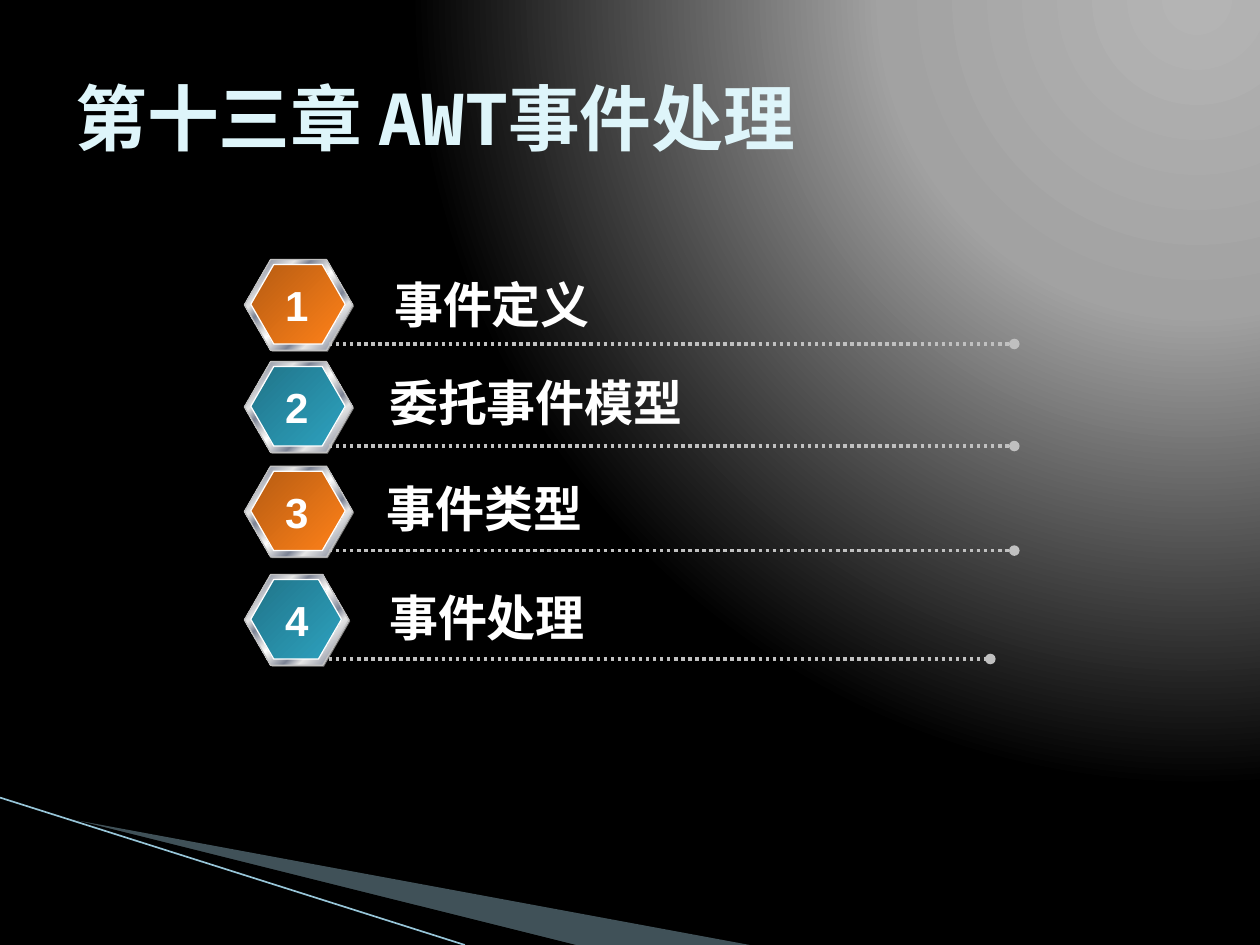
from lxml import etree
from pptx import Presentation
from pptx.dml.color import RGBColor
from pptx.enum.dml import MSO_LINE
from pptx.enum.shapes import MSO_CONNECTOR, MSO_SHAPE
from pptx.enum.text import MSO_ANCHOR, MSO_AUTO_SIZE, PP_ALIGN
from pptx.oxml import parse_xml
from pptx.oxml.ns import nsdecls, qn
from pptx.util import Inches, Pt

HEXAGON = MSO_SHAPE.HEXAGON
STRAIGHT = MSO_CONNECTOR.STRAIGHT
DOTTED = MSO_LINE.ROUND_DOT
LEFT, CENTER = PP_ALIGN.LEFT, PP_ALIGN.CENTER
TOP, MIDDLE = MSO_ANCHOR.TOP, MSO_ANCHOR.MIDDLE
FIT = MSO_AUTO_SIZE.SHAPE_TO_FIT_TEXT

TITLE = "第十三章 AWT事件处理"
CHAPTERS = [
    dict(label="事件定义", top=2.06, left=3.03, drop=0.07, width=2.47, hexagon=0.86, end=8.05),
    dict(label="委托事件模型", top=2.87, left=2.99, drop=0.04, width=3.09, hexagon=0.86, end=8.05),
    dict(label="事件类型", top=3.70, left=2.97, drop=0.05, width=2.94, hexagon=0.86, end=8.05),
    dict(label="事件处理", top=4.56, left=2.99, drop=0.05, width=3.17, hexagon=0.83, end=7.86),
]
WEDGES = [
    ([(0.55, 6.5), (5.95, 7.5), (4.56, 7.5)], "A0CBDC", 40),
    ([(0.53, 6.49), (4.57, 7.5), (3.72, 7.5)], "000000", 100),
]
SILVER, STEEL = "E6E6E6", "7D8496"
THEME = dict(
    backdrop=[(0, "B4B4B4"), (40, "A2A2A2"), (100, "000000")],
    metal=[(0, SILVER), (8, STEEL), (26, SILVER), (34, STEEL), (46, SILVER), (50, "FFFFFF"),
           (54, SILVER), (66, STEEL), (74, SILVER), (93, STEEL), (100, SILVER)],
    faces=[[(0, "B65C12"), (100, "FF8119")], [(0, "207489"), (100, "2DA2BF")]],
    shade="808080", rule="C0C0C0", rim="FFFFFF", streak="97C5D8",
    title=dict(name="Noto Sans Mono", size=Pt(41), bold=True, color="DEF5FA"),
    label=dict(name="Arial", size=Pt(28), bold=True, color="FFFFFF"),
    number=dict(name="Arial", size=Pt(24), bold=True, color="FFFFFF"),
)
DIAGONAL = '<a:lin ang="2700000" scaled="0"/>'
SPOTLIGHT = ('<a:path path="circle"><a:fillToRect l="95000" t="-106000" '
             'r="5000" b="206000"/></a:path>')


def rgb(value):
    return RGBColor.from_string(value)


def set_gradient(properties, stops, direction):
    marks = "".join(f'<a:gs pos="{place * 1000}"><a:srgbClr val="{color}"/></a:gs>'
                    for place, color in stops)
    gradient = parse_xml(f'<a:gradFill {nsdecls("a")} rotWithShape="1">'
                         f'<a:gsLst>{marks}</a:gsLst>{direction}</a:gradFill>')
    solid = properties.find(qn("a:solidFill"))
    properties.replace(solid, gradient)


def paint(shape, color, alpha=100):
    shape.shadow.inherit = False
    shape.fill.solid()
    shape.fill.fore_color.rgb = rgb(color)
    if alpha < 100:
        tone = shape.element.spPr.find(qn("a:solidFill"))[0]
        etree.SubElement(tone, qn("a:alpha"), val=str(alpha * 1000))
    shape.line.fill.background()


def add_text(page, text, frame, style, align=LEFT, anchor=TOP, wrap=True, fit=True):
    box = page.shapes.add_textbox(*map(Inches, frame))
    body = box.text_frame
    settings = dict(word_wrap=wrap, vertical_anchor=anchor)
    if fit:
        settings["auto_size"] = FIT
    for name, value in settings.items():
        setattr(body, name, value)
    para = body.paragraphs[0]
    para.alignment = align
    span = para.add_run()
    span.text = text
    for name, value in style.items():
        if name == "color":
            span.font.color.rgb = rgb(value)
        else:
            setattr(span.font, name, value)


def add_line(page, start, end, color, width):
    line = page.shapes.add_connector(STRAIGHT, *map(Inches, start + end))
    line.line.color.rgb = rgb(color)
    line.line.width = Pt(width)
    etree.SubElement(line.element.spPr, qn("a:effectLst"))
    return line


def add_badge(page, left, top, width, face):
    group = page.shapes.add_group_shape()
    layers = [
        ((left + 0.01, top + 0.01, width, 0.72), None, None),
        ((left, top, width, 0.72), THEME["metal"], THEME["rule"]),
        ((left + 0.05, top + 0.04, width - 0.11, 0.63), face, THEME["rim"]),
    ]
    for frame, stops, outline in layers:
        shape = group.shapes.add_shape(HEXAGON, *map(Inches, frame))
        shape.adjustments[0] = 0.289
        shape.adjustments[1] = 1.155
        paint(shape, THEME["shade"])
        if stops:
            set_gradient(shape.element.spPr, stops, DIAGONAL)
            shape.line.color.rgb = rgb(outline)
            shape.line.width = Pt(0.75)


def add_chapter(page, index, chapter):
    top = chapter["top"]
    add_badge(page, 1.94, top, chapter["hexagon"], THEME["faces"][index % 2])
    rule = add_line(page, (2.61, top + 0.67), (chapter["end"], top + 0.67), THEME["rule"], 2)
    rule.line.dash_style = DOTTED
    etree.SubElement(rule.line._get_or_add_ln(), qn("a:tailEnd"), type="oval")
    add_text(page, chapter["label"],
             (chapter["left"], top + chapter["drop"], chapter["width"], 0.57), THEME["label"])
    add_text(page, str(index + 1), (2.16, top + 0.11, 0.39, 0.5), THEME["number"],
             align=CENTER, wrap=False)


def main():
    deck = Presentation()
    deck.slide_width, deck.slide_height = Inches(10), Inches(7.5)
    page = deck.slides.add_slide(deck.slide_layouts[6])
    page.background.fill.solid()
    set_gradient(page.element.find(".//" + qn("p:bgPr")), THEME["backdrop"], SPOTLIGHT)

    for points, color, alpha in WEDGES:
        corners = [(Inches(x), Inches(y)) for x, y in points]
        builder = page.shapes.build_freeform(*corners[0])
        builder.add_line_segments(corners[1:], close=True)
        paint(builder.convert_to_shape(), color, alpha)
    add_line(page, (0, 6.33), (3.69, 7.5), THEME["streak"], 0.95)

    add_text(page, TITLE, (0.5, 0.3, 9, 1.25), THEME["title"], anchor=MIDDLE, fit=False)
    for index, chapter in enumerate(CHAPTERS):
        add_chapter(page, index, chapter)
    deck.save("out.pptx")


if __name__ == "__main__":
    main()
